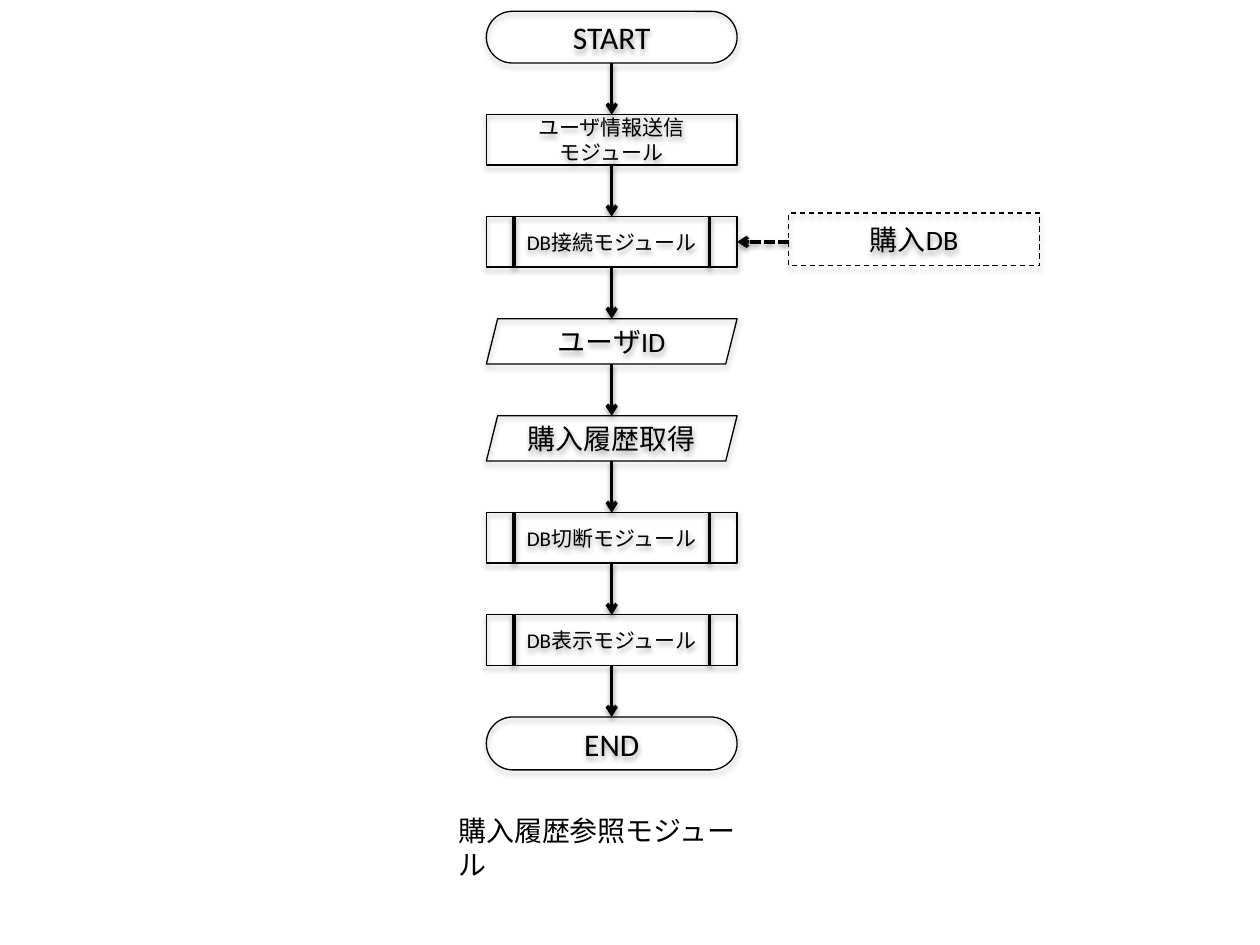
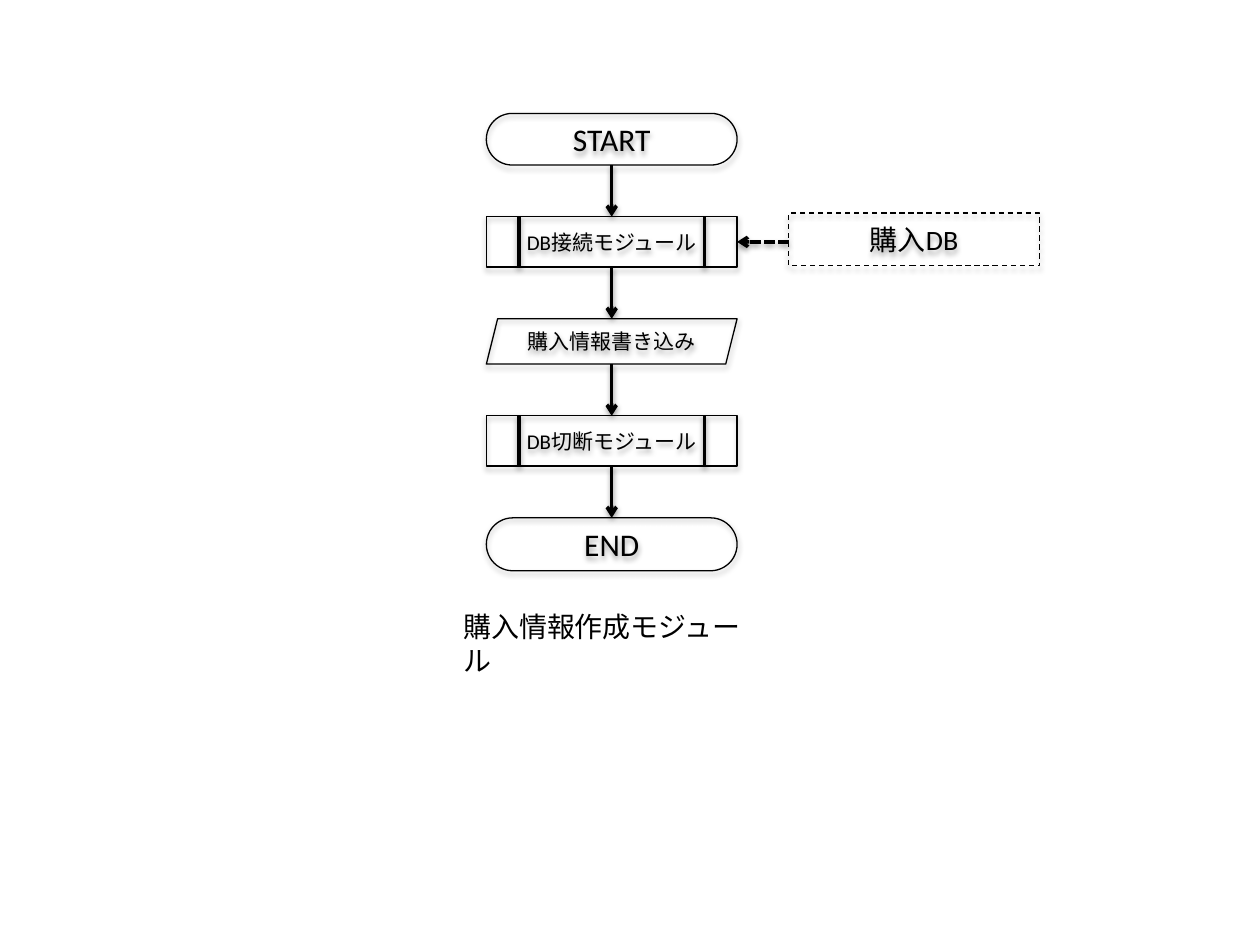
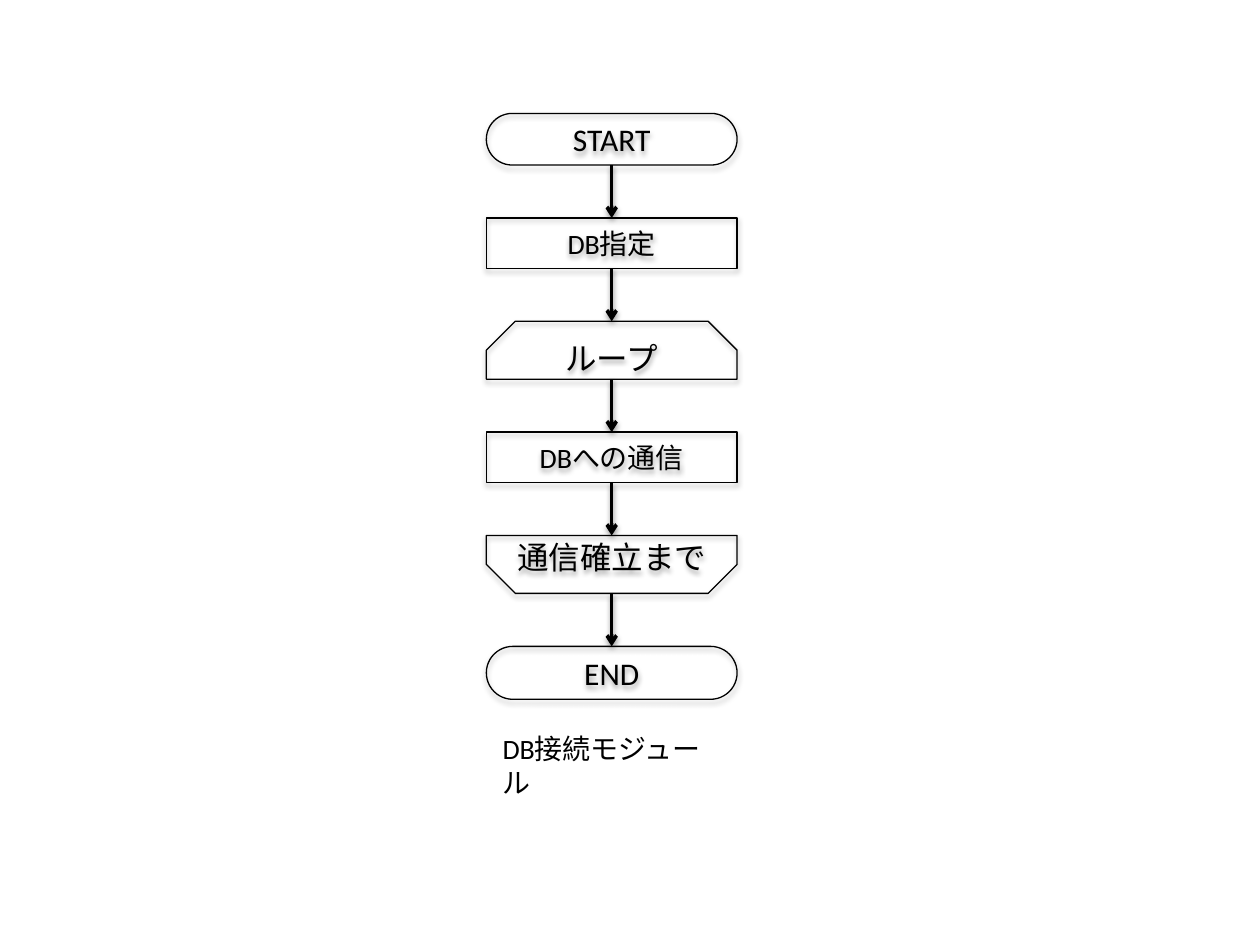
from dataclasses import dataclass

from lxml.etree import SubElement
from pptx import Presentation
from pptx.dml.color import RGBColor
from pptx.enum.dml import MSO_LINE as Dash
from pptx.enum.shapes import MSO_CONNECTOR as Connector, MSO_SHAPE as Preset
from pptx.enum.text import MSO_ANCHOR as Anchor, MSO_AUTO_SIZE as AutoSize, PP_ALIGN as Align
from pptx.oxml.ns import qn
from pptx.util import Inches, Pt


@dataclass(frozen=True)
class Theme:
    """Colours, type and grid shared by every flowchart."""
    ink: RGBColor = RGBColor(0, 0, 0)
    font: str = "Calibri"
    small: int = 12
    body: int = 16
    large: int = 18
    outline: float = 0.75
    stroke: float = 2
    left: float = 3.86
    width: float = 1.99
    gap: float = 0.41

    @property
    def center(self):
        """Return the axis of the flow column."""
        return self.left + self.width / 2

    @property
    def right(self):
        """Return the right edge of the flow column."""
        return self.left + self.width


THEME = Theme()


@dataclass(frozen=True)
class Step:
    """One box of a flow, with its outline, height and type size."""
    text: str
    preset: Preset = Preset.RECTANGLE
    height: float = 0.4
    size: int = THEME.small
    adjustments: tuple = ()
    bars: bool = False
    source: str = ""


def terminal(text, height):
    """Return a rounded start or end step."""
    return Step(text, Preset.ROUNDED_RECTANGLE, height, THEME.large, (0.5,))


def data(text, size=THEME.body):
    """Return a parallelogram input or output step."""
    return Step(text, Preset.PARALLELOGRAM, 0.36, size)


def module(text, source=""):
    """Return a predefined process step with side bars."""
    return Step(text, bars=True, source=source)


def loop(text, top, bottom):
    """Return a loop limit with snipped corners."""
    return Step(text, Preset.SNIP_2_SAME_RECTANGLE, 0.46, THEME.large, (top, bottom))


START = terminal("START", 0.41)
END = terminal("END", 0.42)
CONNECT = module("DB接続モジュール", source="購入DB")
DISCONNECT = module("DB切断モジュール")


def add_shadow(effects, distance, opacity):
    """Put a soft shadow below into an effect list."""
    shadow = SubElement(effects, qn("a:outerShdw"), blurRad=str(Pt(3.1)),
                        dist=str(Pt(distance)), dir="5400000", rotWithShape="0")
    color = SubElement(shadow, qn("a:srgbClr"), val=str(THEME.ink))
    SubElement(color, qn("a:alpha"), val=str(opacity * 1000))


def style_text(frame, text, size, align):
    """Fill a text frame in the theme's type."""
    frame.text = text
    frame.word_wrap = True
    for paragraph in frame.paragraphs:
        paragraph.alignment = align
        paragraph.font.name = THEME.font
        paragraph.font.size = Pt(size)
        paragraph.font.color.rgb = THEME.ink


def style_line(line, weight, dash):
    """Give a line the ink colour, a weight and an optional dash."""
    line.color.rgb = THEME.ink
    line.width = Pt(weight)
    if dash:
        line.dash_style = dash


def add_box(shapes, step, left, top, dash=None):
    """Draw a step as an outlined shape with centred text."""
    shape = shapes.add_shape(step.preset, Inches(left), Inches(top),
                             Inches(THEME.width), Inches(step.height))
    for index, value in enumerate(step.adjustments):
        shape.adjustments[index] = value
    shape.fill.background()
    style_line(shape.line, THEME.outline, dash)
    shape.shadow.inherit = False
    add_shadow(shape._element.spPr.find(qn("a:effectLst")), 1.8, 35)
    shape.text_frame.vertical_anchor = Anchor.MIDDLE
    style_text(shape.text_frame, step.text, step.size, Align.CENTER)


def add_line(shapes, start, end, arrow=False, dash=None):
    """Draw a straight stroke, with an arrowhead at its end on request."""
    connector = shapes.add_connector(Connector.STRAIGHT, *map(Inches, start + end))
    style_line(connector.line, THEME.stroke, dash)
    properties = connector._element.spPr
    if arrow:
        SubElement(properties.find(qn("a:ln")), qn("a:tailEnd"), type="arrow")
    add_shadow(SubElement(properties, qn("a:effectLst")), 1.6, 38)


def add_source(shapes, text, top, height):
    """Draw a dashed database box that feeds a step from the right."""
    box = Step(text, height=0.42, size=THEME.body)
    left = THEME.right + THEME.gap
    middle = top + height / 2
    add_box(shapes, box, left, middle - box.height / 2 - 0.02, Dash.DASH)
    add_line(shapes, (left, middle), (THEME.right, middle), True, Dash.SQUARE_DOT)


def add_flow(shapes, steps, top, gap=THEME.gap, bar_inset=0.22):
    """Stack steps down the column and join them with arrows."""
    for index, step in enumerate(steps):
        if index:
            add_line(shapes, (THEME.center, top - gap), (THEME.center, top), arrow=True)
        add_box(shapes, step, THEME.left, top)
        bottom = top + step.height
        if step.bars:
            for x in (THEME.left + bar_inset, THEME.right - bar_inset):
                add_line(shapes, (x, top), (x, bottom))
        if step.source:
            add_source(shapes, step.source, top, step.height)
        top = bottom + gap


def add_caption(slide, text, left, top, width):
    """Write the module's name below its flow."""
    box = slide.shapes.add_textbox(*map(Inches, (left, top, width, 0.37)))
    style_text(box.text_frame, text, THEME.body, Align.LEFT)
    box.text_frame.auto_size = AutoSize.SHAPE_TO_FIT_TEXT


def add_history_slide(slide):
    """Draw the purchase history flow."""
    steps = [START, Step("ユーザ情報送信\nモジュール"), CONNECT, data("ユーザID"),
             data("購入履歴取得"), DISCONNECT, module("DB表示モジュール"), END]
    add_flow(slide.shapes, steps, 0.09)
    add_caption(slide, "購入履歴参照モジュール", 3.54, 6.41, 2.57)


def add_purchase_slide(slide):
    """Draw the purchase record flow."""
    steps = [START, CONNECT, data("購入情報書き込み", THEME.small), DISCONNECT, END]
    add_flow(slide.shapes, steps, 0.9, bar_inset=0.26)
    add_caption(slide, "購入情報作成モジュール", 3.58, 4.79, 2.57)


def add_connection_slide(slide):
    """Draw the database connection flow as one group."""
    add_caption(slide, "DB接続モジュール", 3.89, 5.76, 1.94)
    steps = [START, Step("DB指定", size=THEME.body), loop("ループ", 0.5, 0),
             Step("DBへの通信", size=THEME.body), loop("通信確立まで", 0, 0.5), END]
    add_flow(slide.shapes.add_group_shape().shapes, steps, 0.9, gap=0.42)


def main():
    """Build the three flowchart slides."""
    presentation = Presentation()
    presentation.slide_width, presentation.slide_height = Inches(10), Inches(7.5)
    blank = presentation.slide_layouts[6]
    for build in (add_history_slide, add_purchase_slide, add_connection_slide):
        build(presentation.slides.add_slide(blank))
    presentation.save("out.pptx")


main()
